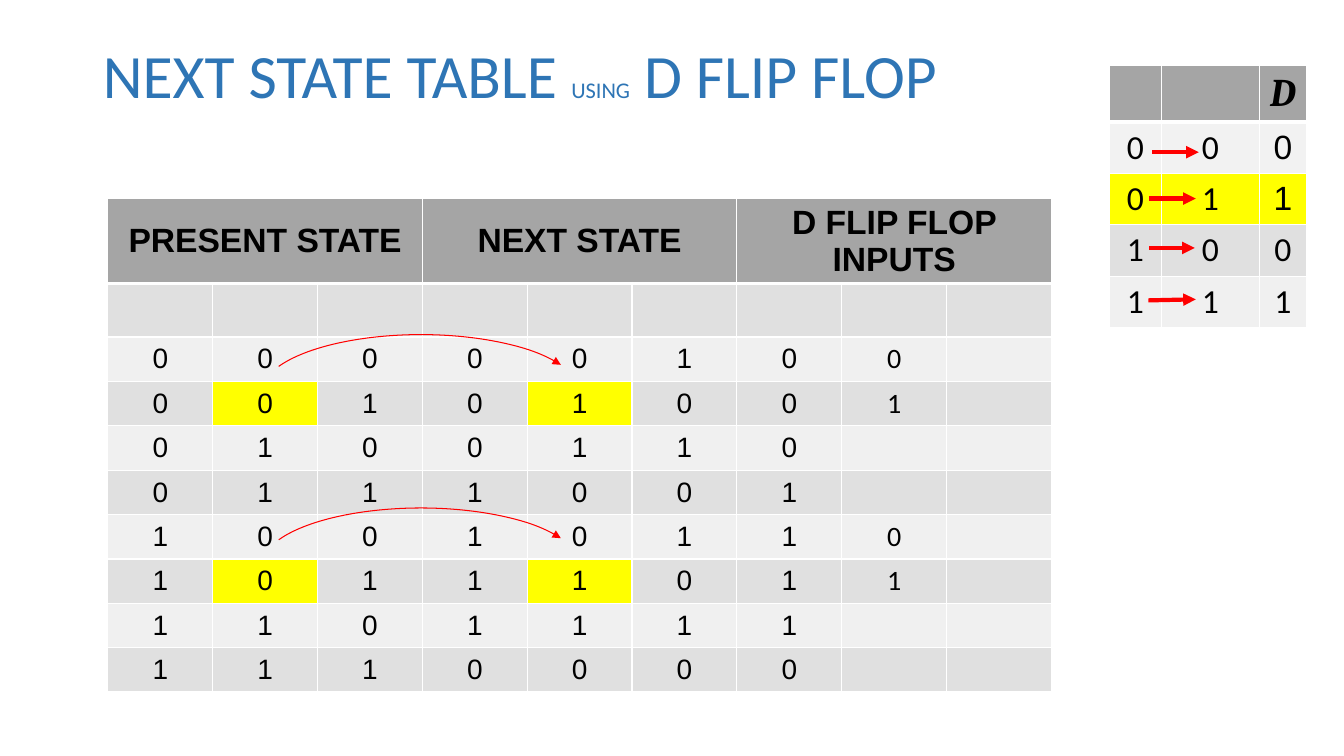
"""Build the slide with the next state table using D flip flops."""
import lxml.etree
import pptx
import pptx.dml.color
import pptx.enum.shapes
import pptx.enum.text
import pptx.oxml.ns
import pptx.util

PX = 9144
COLORS = {
    "title": "2E75B5", "header": "A5A5A5", "dark": "E0E0E0", "light": "F0F0F0",
    "pale": "F2F2F2", "highlight": "FFFF00", "border": "FFFFFF",
    "text": "000000", "arrow": "FF0000",
}
HEADER = {"name": "Arial", "size": 24, "bold": True, "italic": False}
SYMBOL = {"name": "Cambria", "size": 28, "bold": True, "italic": True}
STATE = {"name": "Arial", "size": 20, "bold": False, "italic": False}
INPUT = {**STATE, "name": "Calibri"}
EXCITATION = {**INPUT, "size": 24}
EXCITATION_ARIAL = {**EXCITATION, "name": "Arial"}

STATE_HEADINGS = ["PRESENT STATE", "NEXT STATE", "D FLIP FLOP INPUTS"]
STATE_ROWS = ["00000100", "00101001", "0100110", "0111001",
              "10010110", "10111011", "1101111", "1110000"]
HIGHLIGHTED_STATES = {(row, column) for row in (3, 7) for column in (1, 4)}
EXCITATION_ROWS = ["000", "011", "100", "111"]
EXCITATION_FILLS = ["pale", "highlight", "dark", "light"]
TRANSITIONS = [(1140, 197, 1186, 197), (1140, 246, 1185, 246),
               (1139, 298, 1186, 297), (1143, 151, 1189, 151)]
ARC_TOPS = [332, 504]


def px(length):
    """Turn px into EMU."""
    return pptx.util.Emu(length * PX)


def rgb(color):
    """Return the named colour."""
    return pptx.dml.color.RGBColor.from_string(COLORS[color])


def add_run(paragraph, text, font, color="text"):
    """Add a run with the given font values."""
    run = paragraph.add_run()
    run.text = text
    for key, value in font.items():
        setattr(run.font, key, pptx.util.Pt(value) if key == "size" else value)
    run.font.color.rgb = rgb(color)


def write_title(title):
    """Place the title and write its runs."""
    box = {"left": 92, "top": 40, "width": 1150, "height": 145}
    for key, value in box.items():
        setattr(title, key, px(value))
    frame = title.text_frame
    frame.word_wrap = True
    frame.auto_size = pptx.enum.text.MSO_AUTO_SIZE.NONE
    frame.vertical_anchor = pptx.enum.text.MSO_ANCHOR.TOP
    heading = frame.paragraphs[0]
    heading.alignment = pptx.enum.text.PP_ALIGN.LEFT
    heading.line_spacing = 0.9
    for text, size in [("NEXT STATE TABLE ", 44), ("USING", 16), (" D FLIP FLOP", 44)]:
        add_run(heading, text, {"name": "Calibri", "size": size}, "title")


def style_cell(cell, fill, top=1, bottom=1):
    """Give a cell its borders, fill and anchor."""
    properties = cell._tc.get_or_add_tcPr()
    for side, width in {"L": 1, "R": 1, "T": top, "B": bottom}.items():
        border = lxml.etree.SubElement(
            properties, pptx.oxml.ns.qn(f"a:ln{side}"), w=str(pptx.util.Pt(width)))
        paint = lxml.etree.SubElement(border, pptx.oxml.ns.qn("a:solidFill"))
        lxml.etree.SubElement(
            paint, pptx.oxml.ns.qn("a:srgbClr"), val=COLORS["border"])
    cell.fill.solid()
    cell.fill.fore_color.rgb = rgb(fill)
    cell.vertical_anchor = pptx.enum.text.MSO_ANCHOR.MIDDLE


def write_cell(cell, text, font):
    """Write centred text into a cell."""
    paragraph = cell.text_frame.paragraphs[0]
    paragraph.alignment = pptx.enum.text.PP_ALIGN.CENTER
    add_run(paragraph, text, font)


def add_grid(slide, left, top, widths, heights, fill_of):
    """Add a table whose cell fills come from fill_of(row, column)."""
    grid = slide.shapes.add_table(
        len(heights), len(widths), px(left), px(top),
        px(sum(widths)), px(sum(heights))).table
    for column, width in zip(grid.columns, widths):
        column.width = px(width)
    for row_index, (row, height) in enumerate(zip(grid.rows, heights)):
        row.height = px(height)
        for column_index, cell in enumerate(row.cells):
            style_cell(cell, fill_of(row_index, column_index),
                       top=3 if row_index == 1 else 1,
                       bottom=3 if row_index == 0 else 1)
    return grid


def excitation_fill(row, column):
    """Return the fill name of an excitation table cell."""
    return EXCITATION_FILLS[row - 1] if row else "header"


def state_fill(row, column):
    """Return the fill name of a state table cell."""
    if row == 0:
        return "header"
    if (row, column) in HIGHLIGHTED_STATES:
        return "highlight"
    return "dark" if row % 2 else "light"


def add_excitation_table(slide):
    """Add the D flip flop excitation table."""
    grid = add_grid(slide, 1100, 65, [52, 97, 47], [56] + [51] * 4, excitation_fill)
    write_cell(grid.cell(0, 2), "D", SYMBOL)
    for row, digits in enumerate(EXCITATION_ROWS, 1):
        for column, digit in enumerate(digits):
            arial = column == 2 and row <= 2
            write_cell(grid.cell(row, column), digit,
                       EXCITATION_ARIAL if arial else EXCITATION)


def add_state_table(slide):
    """Add the table of present states, next states and inputs."""
    grid = add_grid(slide, 107, 197, [104] * 9, [84, 53] + [44] * 8, state_fill)
    for group, heading in enumerate(STATE_HEADINGS):
        first = grid.cell(0, group * 3)
        first.merge(grid.cell(0, group * 3 + 2))
        write_cell(first, heading, HEADER)
    for row, digits in enumerate(STATE_ROWS, 2):
        for column, digit in enumerate(digits):
            write_cell(grid.cell(row, column), digit, INPUT if column == 7 else STATE)


def format_arrow(arrow, width):
    """Give a line its colour, width and arrowhead."""
    arrow.line.color.rgb = rgb("arrow")
    arrow.line.width = pptx.util.Pt(width)
    outline = arrow.element.spPr.find(pptx.oxml.ns.qn("a:ln"))
    lxml.etree.SubElement(outline, pptx.oxml.ns.qn("a:tailEnd"), type="triangle")


def add_transition(slide, ends):
    """Add a straight arrow between two states."""
    arrow = slide.shapes.add_connector(
        pptx.enum.shapes.MSO_CONNECTOR.STRAIGHT, *map(px, ends))
    format_arrow(arrow, 3)
    lxml.etree.SubElement(arrow.element.spPr, pptx.oxml.ns.qn("a:effectLst"))


def add_arc(slide, top):
    """Add a curved arrow from present to next state."""
    arc = slide.shapes.add_shape(
        pptx.enum.shapes.MSO_SHAPE.ARC, px(259), px(top), px(317), px(116))
    arc.adjustments[0] = 114.38
    arc.adjustments[1] = 209.15
    arc.fill.background()
    format_arrow(arc, 0.75)
    arc.shadow.inherit = False


def main():
    """Build and save the slide."""
    deck = pptx.Presentation()
    deck.slide_width, deck.slide_height = px(1333), px(750)
    slide = deck.slides.add_slide(deck.slide_layouts[5])
    write_title(slide.shapes.title)
    add_excitation_table(slide)
    for ends in TRANSITIONS:
        add_transition(slide, ends)
    add_state_table(slide)
    for top in ARC_TOPS:
        add_arc(slide, top)
    deck.save("out.pptx")


if __name__ == "__main__":
    main()
